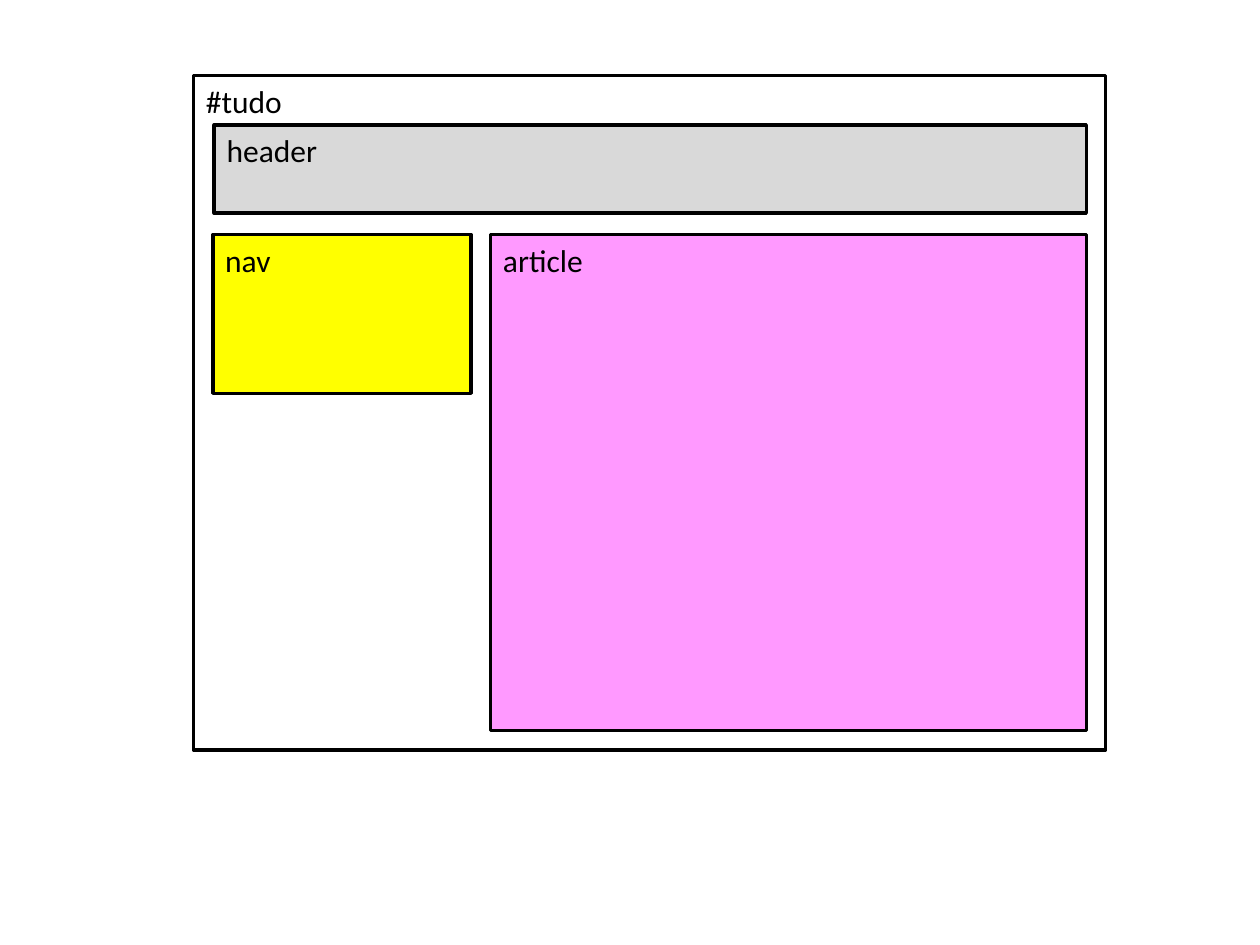
import pptx
import pptx.util
import pptx.dml.color
import pptx.enum.shapes
import pptx.enum.text

Cm = pptx.util.Cm
GAP = 0.39


def colour(value):
    return pptx.dml.color.RGBColor.from_string(value)


def add_block(page, label, box, fill):
    """Draw one outlined page region with its label at the top left."""
    block = page.shapes.add_shape(
        pptx.enum.shapes.MSO_SHAPE.RECTANGLE, *[Cm(length) for length in box])
    block.shadow.inherit = False
    block.fill.solid()
    block.fill.fore_color.rgb = colour(fill)
    block.line.color.rgb = colour("000000")
    block.line.width = pptx.util.Pt(2)

    frame = block.text_frame
    frame.word_wrap = True
    frame.vertical_anchor = pptx.enum.text.MSO_ANCHOR.TOP
    para = frame.paragraphs[0]
    para.alignment = pptx.enum.text.PP_ALIGN.LEFT
    span = para.add_run()
    span.text = label
    span.font.name = "Calibri"
    span.font.size = pptx.util.Pt(18)
    span.font.color.rgb = colour("000000")


def add_wireframe(page, box):
    """Lay out header, navigation and article inside the container."""
    left, top, width, height = box
    right, bottom = left + width - GAP, top + height - GAP
    add_block(page, "#tudo", box, "FFFFFF")

    # Header, slightly inset from the navigation edge
    header_left, header_top = left + 0.42, top + 1
    add_block(page, "header",
              (header_left, header_top, right - header_left, 1.78), "D9D9D9")

    # Two columns below it
    nav_left, body_top = left + GAP, top + 3.21
    nav_width = 5.21
    add_block(page, "nav", (nav_left, body_top, nav_width, 3.2), "FFFF00")
    article_left = nav_left + nav_width + GAP
    add_block(page, "article",
              (article_left, body_top, right - article_left, bottom - body_top),
              "FF99FF")


deck = pptx.Presentation()
deck.slide_width, deck.slide_height = Cm(25.4), Cm(19.05)
page = deck.slides.add_slide(deck.slide_layouts[6])
add_wireframe(page, (3.9, 1.52, 18.39, 13.6))
deck.save("out.pptx")
